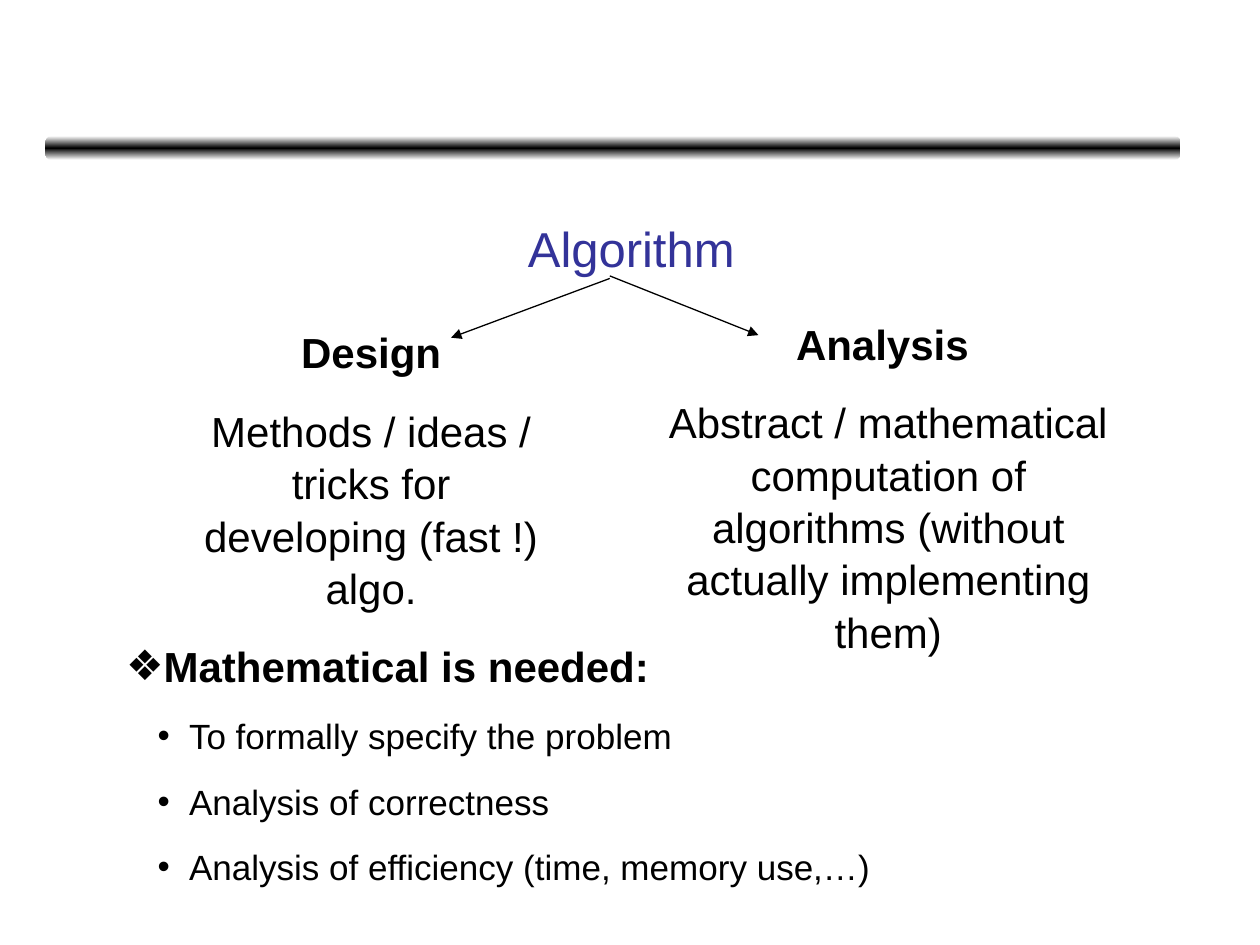
"""Build a slide that splits Algorithm into Design and Analysis above a list of needs."""
from copy import deepcopy
from lxml import etree
from pptx import Presentation
from pptx import util as u
from pptx.dml.color import RGBColor
from pptx.enum import shapes, text
from pptx.oxml import ns

BLACK = RGBColor(0x00, 0x00, 0x00)
WHITE = RGBColor(0xFF, 0xFF, 0xFF)
BLUE = RGBColor(0x33, 0x33, 0x99)

prs = Presentation()
prs.slide_width, prs.slide_height = u.Inches(10), u.Inches(7.5)
s = prs.slides.add_slide(prs.slide_layouts[1])


def place(sp, *box):
    sp.left, sp.top, sp.width, sp.height = (u.Inches(v) for v in box)
    sp.text_frame.word_wrap = True
    sp.text_frame.auto_size = text.MSO_AUTO_SIZE.NONE


def write(tf, words, size=24, bold=False, color=BLACK, align=text.PP_ALIGN.CENTER,
          before=0, spacing=1.04, bullet=None, margin=0, hang=0):
    p = tf.paragraphs[0] if not tf.text else tf.add_paragraph()
    p.alignment, p.line_spacing, p.space_before = align, spacing, u.Pt(before)
    if bullet:
        pPr = p._p.get_or_add_pPr()
        pPr.set("marL", str(u.Inches(margin)))
        pPr.set("indent", str(-u.Inches(hang)))
        etree.SubElement(pPr, ns.qn("a:buFont"), typeface="Arial")
        etree.SubElement(pPr, ns.qn("a:buChar"), char=bullet)
    r = p.add_run()
    r.text = words
    r.font.name, r.font.size, r.font.bold = "Arial", u.Pt(size), bold
    r.font.color.rgb = color


sp = s.shapes.add_shape(shapes.MSO_SHAPE.ROUNDED_RECTANGLE, u.Inches(0.36), u.Inches(1.08),
                        u.Inches(9.01), u.Inches(0.19))
sp.adjustments[0] = 0.29
sp.shadow.inherit = False
sp.line.fill.background()
sp.fill.gradient()
sp.fill.gradient_angle = 90
stops = sp._element.spPr.find(".//" + ns.qn("a:gsLst"))
stops.append(deepcopy(stops[0]))
for stop, position, color in zip(sp.fill.gradient_stops, (0, 0.5, 1), (WHITE, BLACK, WHITE)):
    stop.position, stop.color.rgb = position, color

title = s.shapes.title
place(title, 0.51, 1.68, 9, 0.58)
title.text_frame.vertical_anchor = text.MSO_ANCHOR.MIDDLE
write(title.text_frame, "Algorithm", size=28, color=BLUE, spacing=1)

for x1, y1, x2, y2 in ((4.84, 2.21, 3.58, 2.68), (4.84, 2.19, 6.02, 2.66)):
    arrow = s.shapes.add_connector(shapes.MSO_CONNECTOR.STRAIGHT, u.Inches(x1), u.Inches(y1),
                                   u.Inches(x2), u.Inches(y2))
    arrow.line.color.rgb, arrow.line.width = BLACK, u.Pt(0.75)
    etree.SubElement(arrow.line._get_or_add_ln(), ns.qn("a:tailEnd"), type="triangle")
    etree.SubElement(arrow._element.spPr, ns.qn("a:effectLst"))

branches = (
    ((1.45, 2.53, 2.99, 2.31), "Design",
     "Methods / ideas / tricks for developing (fast !) algo."),
    ((5.08, 2.46, 3.94, 2.71), "Analysis ",
     "Abstract / mathematical computation of algorithms (without actually implementing them)"),
)
for box, heading, detail in branches:
    sp = s.shapes.add_textbox(0, 0, 0, 0)
    place(sp, *box)
    write(sp.text_frame, heading, bold=True)
    write(sp.text_frame, detail, before=15)

body = s.placeholders[1]
place(body, 0.9, 5.02, 7.96, 2.45)
write(body.text_frame, "Mathematical is needed:", bold=True, align=text.PP_ALIGN.LEFT,
      bullet="❖", margin=0.29, hang=0.29)
for need in ("To formally specify the problem", "Analysis of correctness",
             "Analysis of efficiency (time, memory use,…)"):
    write(body.text_frame, need, size=20, align=text.PP_ALIGN.LEFT, before=12.5,
          bullet="•", margin=0.5, hang=0.25)

prs.save("out.pptx")
